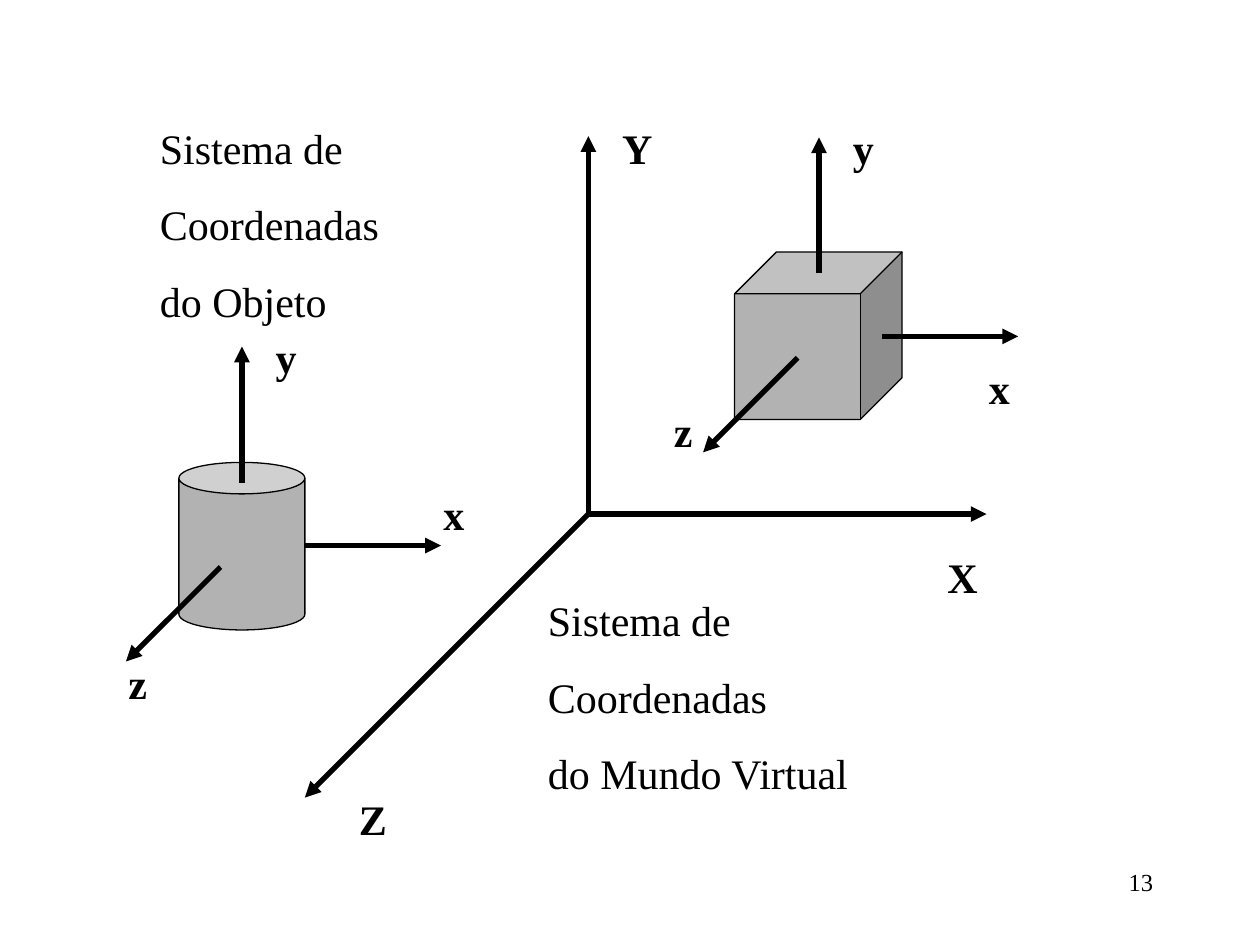
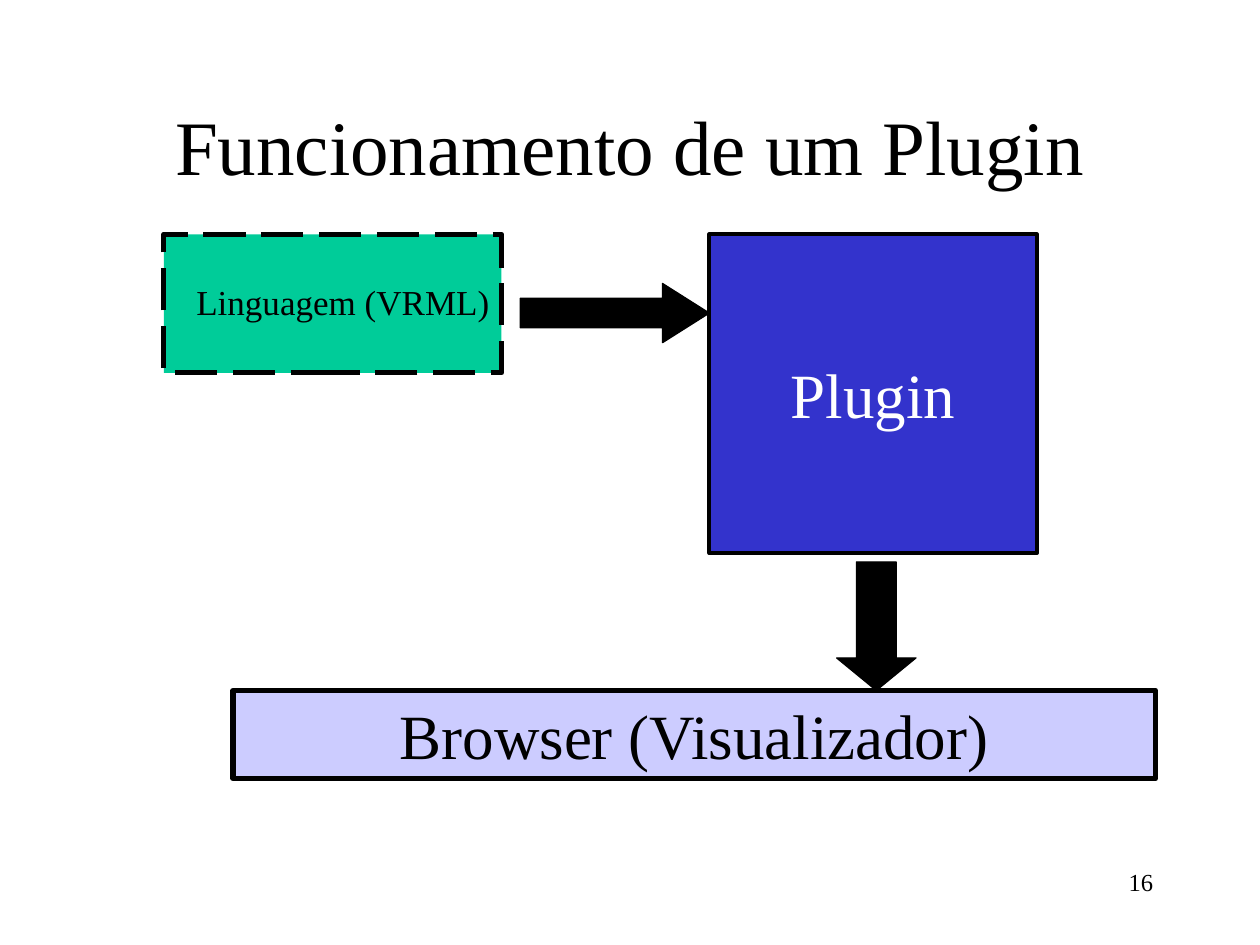
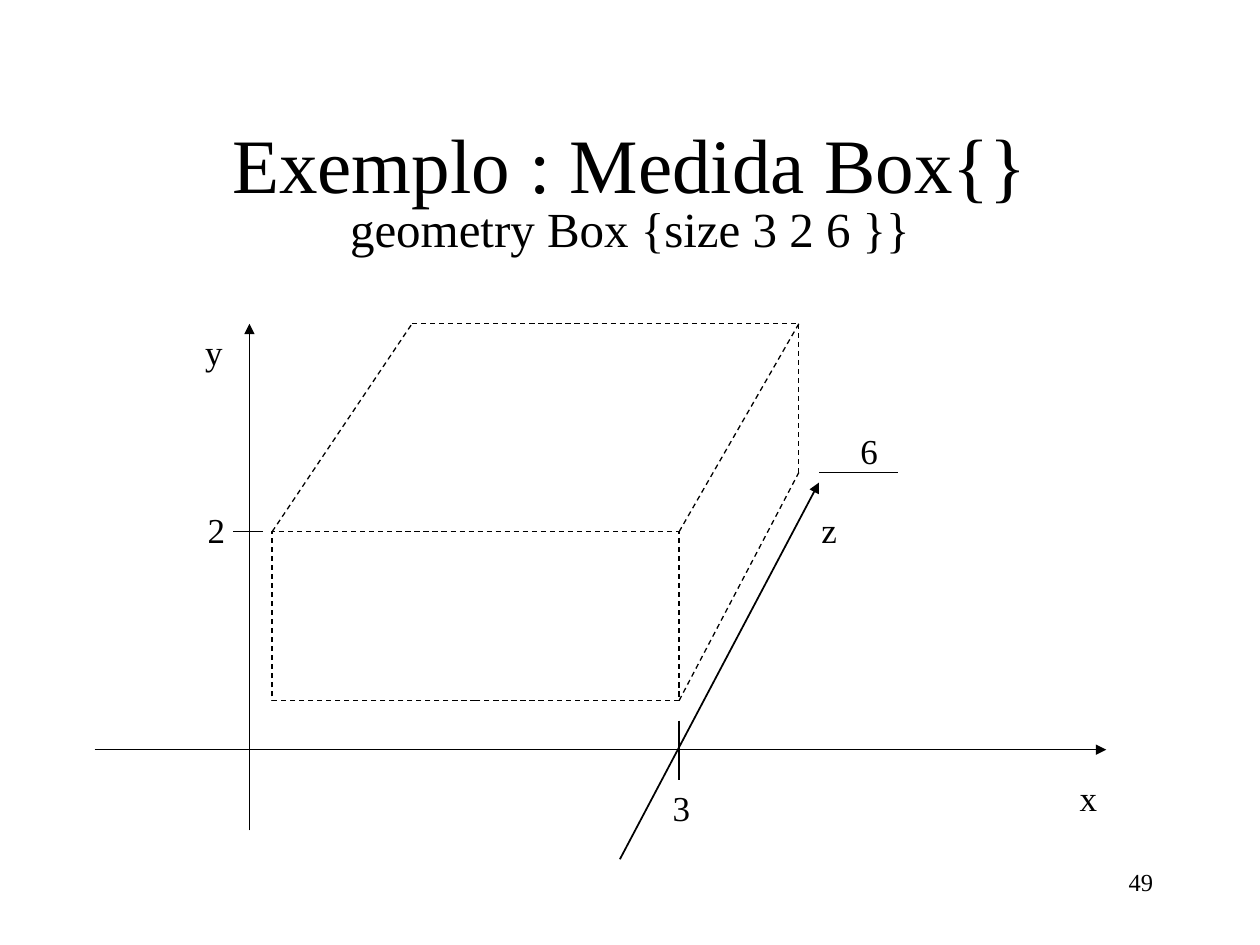
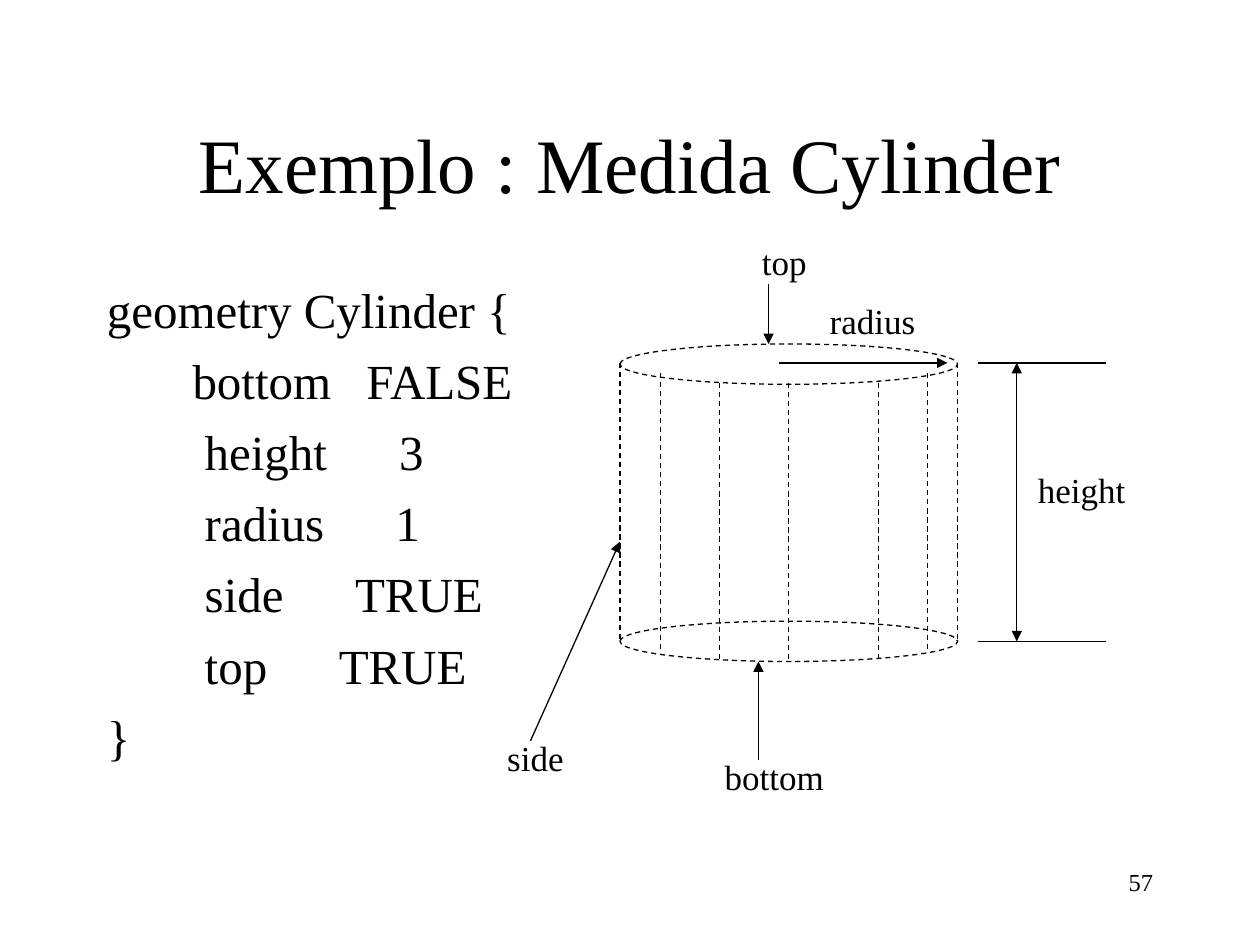
from lxml import etree
from pptx import Presentation
from pptx import util as u
from pptx.dml.color import RGBColor
from pptx.enum import dml, shapes, text
from pptx.oxml import ns

BLACK = RGBColor(0x00, 0x00, 0x00)
WHITE = RGBColor(0xFF, 0xFF, 0xFF)
GREY = RGBColor(0xB2, 0xB2, 0xB2)
GREEN = RGBColor(0x00, 0xCC, 0x99)
BLUE = RGBColor(0x33, 0x33, 0xCC)
LILAC = RGBColor(0xCC, 0xCC, 0xFF)
FONT = "Times New Roman"
THIN, THICK = 0.75, 3
DASH = dml.MSO_LINE.DASH
LONG_DASH = dml.MSO_LINE.LONG_DASH
LEFT, CENTER, RIGHT = text.PP_ALIGN.LEFT, text.PP_ALIGN.CENTER, text.PP_ALIGN.RIGHT
SHAPE = shapes.MSO_SHAPE
TITLE_ONLY, BLANK = 5, 6


def inches(values):
    return [u.Inches(value) for value in values]


def add_run(paragraph, words, size, color=BLACK, bold=False):
    run = paragraph.add_run()
    run.text = words
    run.font.name = FONT
    run.font.size = u.Pt(size)
    run.font.color.rgb = color
    run.font.bold = bold


def add_text(slide, at, lines, size=20, align=LEFT, gap=0, bold=False, wrap=True):
    frame = slide.shapes.add_textbox(*inches(at)).text_frame
    frame.word_wrap = wrap
    for index, words in enumerate(lines):
        paragraph = frame.add_paragraph() if index else frame.paragraphs[0]
        paragraph.alignment = align
        if index:
            paragraph.space_before = u.Pt(gap)
        add_run(paragraph, words, size, bold=bold)
    return frame


def add_axis_label(slide, letter, left, top):
    width = 0.44 if letter.isupper() else 0.36
    add_text(slide, (left, top, width, 0.5), [letter], 24, bold=True, wrap=False)


def style_line(line, width, dash=None):
    line.color.rgb = BLACK
    line.width = u.Pt(width)
    if dash:
        line.dash_style = dash


def add_line(slide, start, end, width=THIN, dash=None, arrows=()):
    connector = slide.shapes.add_connector(
        shapes.MSO_CONNECTOR.STRAIGHT, *inches(start + end))
    style_line(connector.line, width, dash)
    outline = connector.line._get_or_add_ln()
    for arrow in arrows:
        etree.SubElement(outline, ns.qn(f"a:{arrow}"), type="triangle")
    etree.SubElement(connector._element.spPr, ns.qn("a:effectLst"))


def add_arrow(slide, start, end, width=THIN):
    add_line(slide, start, end, width, arrows=("tailEnd",))


def add_block(slide, kind, at, fill=None, width=THIN, dash=None, adjust=()):
    block = slide.shapes.add_shape(kind, *inches(at))
    block.shadow.inherit = False
    if fill is None:
        block.fill.background()
    else:
        block.fill.solid()
        block.fill.fore_color.rgb = fill
    style_line(block.line, width, dash)
    for index, value in enumerate(adjust):
        block.adjustments[index] = value
    return block


def write_in(block, words, color):
    frame = block.text_frame
    frame.word_wrap = True
    frame.vertical_anchor = text.MSO_ANCHOR.MIDDLE
    frame.paragraphs[0].alignment = CENTER
    add_run(frame.paragraphs[0], words, 36, color)


def add_slide(deck, number, title=None, title_top=0.67):
    slide = deck.slides.add_slide(deck.slide_layouts[TITLE_ONLY if title else BLANK])
    if title:
        heading = slide.shapes.title
        heading.left, heading.top, heading.width, heading.height = inches(
            (0.75, title_top, 8.5, 1.25))
        frame = heading.text_frame
        frame.vertical_anchor = text.MSO_ANCHOR.MIDDLE
        frame.paragraphs[0].alignment = CENTER
        add_run(frame.paragraphs[0], title, 44)
    add_text(slide, (7.17, 6.83, 2.08, 0.5), [str(number)], 14, RIGHT)
    return slide


def add_object_axes(slide, x, y, x_label, z_label):
    add_arrow(slide, (x, y), (x, y - 1.08), THICK)
    add_arrow(slide, (x + 0.5, y + 0.5), (x + 1.58, y + 0.5), THICK)
    add_arrow(slide, (x - 0.17, y + 0.67), (x - 0.92, y + 1.42), THICK)
    add_axis_label(slide, "y", x + 0.17, y - 1.25)
    add_axis_label(slide, "x", *x_label)
    add_axis_label(slide, "z", *z_label)


def build_coordinates(deck):
    slide = add_slide(deck, 13)
    origin = (4.67, 4.08)
    world_axes = [
        ("Y", (4.67, 1.08), (4.84, 0.92)),
        ("X", (7.83, 4.08), (7.42, 4.33)),
        ("Z", (2.42, 6.33), (2.75, 6.25)),
    ]
    for letter, tip, label in world_axes:
        add_arrow(slide, origin, tip, THICK)
        add_axis_label(slide, letter, *label)
    add_block(slide, SHAPE.CAN, (1.42, 3.67, 1, 1.33), GREY, adjust=[0.25])
    add_object_axes(slide, 1.92, 3.83, (3.42, 3.83), (0.92, 5.17))
    add_block(slide, SHAPE.CUBE, (5.83, 2, 1.33, 1.33), GREY, adjust=[0.25])
    add_object_axes(slide, 6.5, 2.17, (7.75, 2.83), (5.25, 3.17))
    for at, owner in [((1.17, 0.92, 2.33, 1.72), "do Objeto"),
                      ((4.25, 4.67, 3.33, 1.72), "do Mundo Virtual")]:
        add_text(slide, at, ["Sistema de", "Coordenadas", owner], 24, gap=15)


def build_plugin(deck):
    slide = add_slide(deck, 16, "Funcionamento de um Plugin", 0.52)
    add_block(slide, SHAPE.RECTANGLE, (1.3, 1.86, 2.68, 1.1), GREEN, THICK, LONG_DASH)
    add_text(slide, (1.46, 2.18, 2.91, 0.44), ["Linguagem (VRML)"])
    plugin = add_block(slide, SHAPE.RECTANGLE, (5.63, 1.86, 2.6, 2.53), BLUE, 2.25)
    write_in(plugin, "Plugin", WHITE)
    add_block(slide, SHAPE.RIGHT_ARROW, (4.13, 2.25, 1.5, 0.47), BLACK, adjust=[0.5, 0.79])
    browser = add_block(slide, SHAPE.RECTANGLE, (1.85, 5.48, 7.32, 0.7), LILAC, THICK)
    write_in(browser, "Browser (Visualizador)", BLACK)
    add_block(slide, SHAPE.DOWN_ARROW, (6.64, 4.46, 0.63, 1.02), BLACK, adjust=[0.5, 0.41])


def build_box(deck):
    slide = add_slide(deck, 49, "Exemplo : Medida Box{}")
    geometry = add_text(slide, (0.75, 1.62, 8.5, 0.95),
                        ["geometry Box {size 3 2 6 }}"], 28, CENTER)
    geometry.paragraphs[0].line_spacing = 0.8

    front_left, front_right, front_top, front_bottom = 2.16, 5.39, 4.22, 5.56
    back_left, back_right, back_top, back_bottom = 3.27, 6.34, 2.57, 3.75
    add_block(slide, SHAPE.RECTANGLE,
              (front_left, front_top, front_right - front_left, front_bottom - front_top),
              WHITE, dash=DASH)
    edges = [
        ((front_right, front_top), (back_right, back_top)),
        ((front_left, front_top), (back_left, back_top)),
        ((back_left, back_top), (back_right, back_top)),
        ((front_right, front_bottom), (back_right, back_bottom)),
        ((back_right, back_top), (back_right, back_bottom)),
    ]
    for start, end in edges:
        add_line(slide, start, end, dash=DASH)

    add_arrow(slide, (1.98, 6.59), (1.98, 2.57))
    add_arrow(slide, (0.75, 5.95), (8.78, 5.95))
    add_arrow(slide, (4.92, 6.82), (6.5, 3.83), 1)
    ticks = [((5.39, 5.72), (5.39, 6.19)),
             ((1.85, 4.22), (2.09, 4.22)),
             ((6.5, 3.75), (7.13, 3.75))]
    for start, end in ticks:
        add_line(slide, start, end)
    labels = [("3", 5.24, 6.19, 0.63), ("2", 1.55, 3.99, 0.47), ("6", 6.73, 3.36, 1.49),
              ("y", 1.53, 2.57, 0.71), ("x", 8.47, 6.11, 0.31), ("z", 6.42, 3.99, 1.18)]
    for words, left, top, width in labels:
        add_text(slide, (left, top, width, 0.44), [words])


def add_value_tab(paragraph, position):
    tabs = etree.SubElement(paragraph._p.get_or_add_pPr(), ns.qn("a:tabLst"))
    etree.SubElement(tabs, ns.qn("a:tab"), pos=str(u.Inches(position)), algn="l")


def build_cylinder(deck):
    slide = add_slide(deck, 57, "Exemplo : Medida Cylinder")
    fields = [("       bottom\tFALSE", 2.06), ("        height\t3", 2.32),
              ("        radius\t1", 2.29), ("        side\tTRUE", 1.97),
              ("        top\tTRUE", 1.84)]
    code = add_text(slide, (0.75, 2.17, 3.78, 4.5),
                    ["geometry Cylinder {", *[words for words, _ in fields], "}"], 28, gap=7)
    for paragraph, (_, position) in zip(code.paragraphs[1:], fields):
        add_value_tab(paragraph, position)

    for top in (4.93, 2.73):
        add_block(slide, SHAPE.OVAL, (4.92, top, 2.68, 0.32), dash=DASH)
    wall_height = 2.21
    walls = [(4.92, 2.88), (7.6, 2.88), (6.26, 3.04), (6.97, 3.04),
             (5.24, 2.96), (5.71, 3.04), (7.36, 2.96)]
    for x, top in walls:
        add_line(slide, (x, top), (x, top + wall_height), dash=DASH)

    for y in (2.88, 5.09):
        add_line(slide, (7.76, y), (8.78, y))
    add_line(slide, (8.07, 5.09), (8.07, 2.88), arrows=("headEnd", "tailEnd"))
    pointers = [((6.1, 2.25), (6.1, 2.73)), ((6.18, 2.88), (7.52, 2.88)),
                ((4.21, 5.88), (4.92, 4.3)), ((6.02, 6.03), (6.02, 5.25))]
    for start, end in pointers:
        add_arrow(slide, start, end)
    labels = [("bottom", 5.16, 5.95, 1.97), ("height", 7.6, 3.67, 1.97),
              ("radius", 5.94, 2.33, 1.97), ("side", 3.58, 5.8, 1.34),
              ("top", 5.24, 1.86, 1.97)]
    for words, left, top, width in labels:
        add_text(slide, (left, top, width, 0.44), [words], align=CENTER)


def main():
    deck = Presentation()
    deck.slide_width, deck.slide_height = inches((10, 7.5))
    build_coordinates(deck)
    build_plugin(deck)
    build_box(deck)
    build_cylinder(deck)
    deck.save("out.pptx")


if __name__ == "__main__":
    main()
